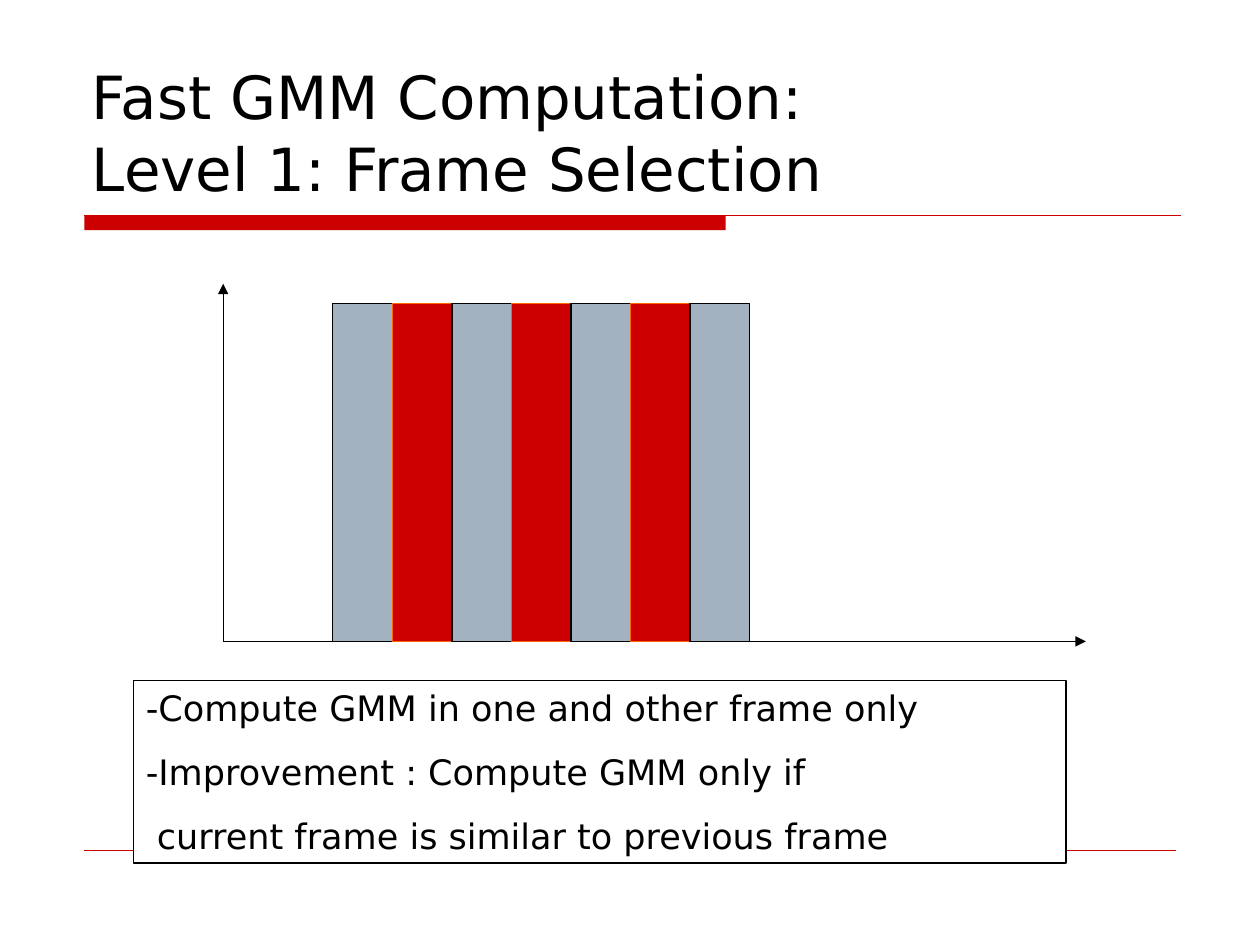
from lxml import etree
from pptx import Presentation
from pptx.dml.color import RGBColor
from pptx.enum import shapes, text
from pptx.oxml import ns
from pptx.util import Cm, Pt

COLORS = {
    "black": "000000",
    "white": "FFFFFF",
    "red": "CC0000",
    "orange": "FF6600",
    "gray": "A3B2C1",
}
FONT = "DejaVu Sans"
ORIGIN_X, ORIGIN_Y = 4.5, 12.93
FRAME_LEFT, FRAME_TOP, FRAME_WIDTH = 6.71, 6.12, 1.2
FRAME_COUNT = 7


def rgb(name):
    return RGBColor.from_string(COLORS[name])


def add_rect(parent, x, y, w, h, fill, line=None):
    sp = parent.add_shape(shapes.MSO_SHAPE.RECTANGLE, Cm(x), Cm(y), Cm(w), Cm(h))
    sp.shadow.inherit = False
    sp.fill.solid()
    sp.fill.fore_color.rgb = rgb(fill)
    if line:
        sp.line.color.rgb = rgb(line)
        sp.line.width = Pt(0.75)
    else:
        sp.line.fill.background()
    return sp


def add_line(parent, x1, y1, x2, y2, color, width=0.75, arrow=False):
    line = parent.add_connector(
        shapes.MSO_CONNECTOR.STRAIGHT, Cm(x1), Cm(y1), Cm(x2), Cm(y2))
    line.line.color.rgb = rgb(color)
    line.line.width = Pt(width)
    if arrow:
        etree.SubElement(line.line._get_or_add_ln(), ns.qn("a:tailEnd"), type="triangle")
    etree.SubElement(line._element.spPr, ns.qn("a:effectLst"))


def format_paragraph(p, size, before=0):
    p.alignment = text.PP_ALIGN.LEFT
    p.space_before = Pt(before)
    p.font.size = Pt(size)
    p.font.name = FONT
    p.font.color.rgb = rgb("black")


def set_title(s, content):
    title = s.shapes.title
    title.left, title.top, title.width, title.height = Cm(1.6), Cm(0.84), Cm(22.23), Cm(3.38)
    tf = title.text_frame
    tf.text = content
    tf.auto_size = text.MSO_AUTO_SIZE.NONE
    tf.vertical_anchor = text.MSO_ANCHOR.BOTTOM
    format_paragraph(tf.paragraphs[0], 34)


def add_frame_diagram(s):
    group = s.shapes.add_group_shape().shapes
    add_line(group, ORIGIN_X, ORIGIN_Y, ORIGIN_X, 5.72, "black", arrow=True)
    add_line(group, ORIGIN_X, ORIGIN_Y, 21.89, ORIGIN_Y, "black", arrow=True)
    for i in range(FRAME_COUNT):
        fill, line = ("red", "orange") if i % 2 else ("gray", "black")
        add_rect(group, FRAME_LEFT + i * FRAME_WIDTH, FRAME_TOP,
                 FRAME_WIDTH, ORIGIN_Y - FRAME_TOP, fill, line)


def add_notes_box(s, lines):
    tf = add_rect(s.shapes, 2.69, 13.72, 18.8, 3.68, "white", "black").text_frame
    tf.word_wrap = True
    tf.vertical_anchor = text.MSO_ANCHOR.TOP
    tf.text = "\n".join(lines)
    for p in tf.paragraphs:
        format_paragraph(p, 20, before=12.5)


def main():
    prs = Presentation()
    prs.slide_width, prs.slide_height = Cm(25.4), Cm(19.05)
    s = prs.slides.add_slide(prs.slide_layouts[5])
    add_rect(s.shapes, 1.7, 4.34, 12.93, 0.3, "red")
    add_line(s.shapes, 1.7, 4.34, 23.8, 4.34, "red")
    add_line(s.shapes, 1.7, 17.15, 23.7, 17.15, "red", width=0.25)
    set_title(s, "Fast GMM Computation: \vLevel 1: Frame Selection")
    add_frame_diagram(s)
    add_notes_box(s, [
        "-Compute GMM in one and other frame only",
        "-Improvement : Compute GMM only if",
        " current frame is similar to previous frame",
    ])
    prs.save("out.pptx")


if __name__ == "__main__":
    main()
